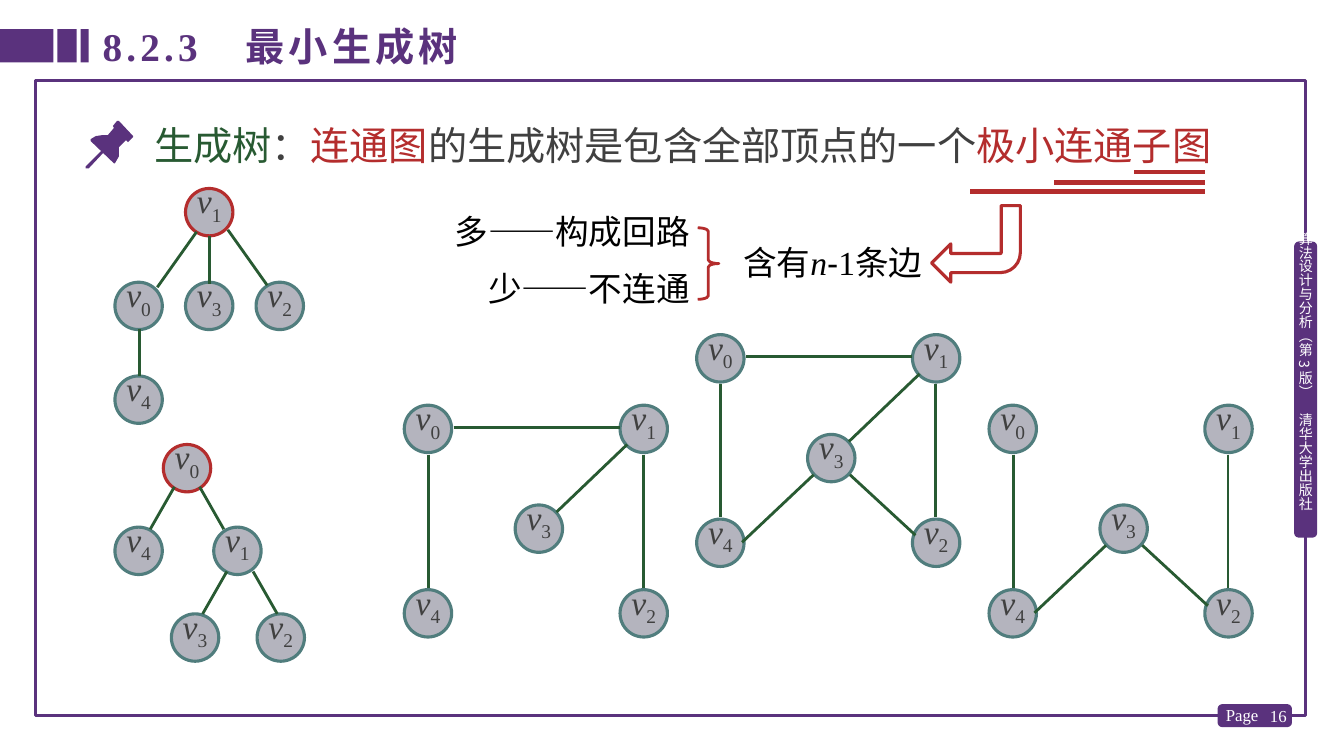
from lxml import etree
from pptx import Presentation
from pptx.dml.color import RGBColor
from pptx.enum.shapes import MSO_CONNECTOR, MSO_SHAPE
from pptx.enum.text import MSO_ANCHOR, PP_ALIGN
from pptx.oxml.ns import qn
from pptx.util import Inches, Pt

PURPLE = RGBColor(0x5A, 0x32, 0x7D)
RED = RGBColor(0xB4, 0x2D, 0x2D)
GREEN = RGBColor(0x28, 0x5A, 0x32)
TEAL = RGBColor(0x50, 0x7D, 0x7D)
GREY = RGBColor(0xB4, 0xB4, 0xBE)
DARK = RGBColor(0x40, 0x40, 0x40)
BLACK = RGBColor(0, 0, 0)
WHITE = RGBColor(0xFF, 0xFF, 0xFF)
SERIF, SANS, CJK = "Times New Roman", "Calibri", "Noto Sans CJK SC"
RECT, ROUND, OVAL = MSO_SHAPE.RECTANGLE, MSO_SHAPE.ROUNDED_RECTANGLE, MSO_SHAPE.OVAL
BRACE, BENT_ARROW = MSO_SHAPE.RIGHT_BRACE, MSO_SHAPE.BENT_ARROW
STRAIGHT = MSO_CONNECTOR.STRAIGHT
LEFT, CENTER, RIGHT, JUSTIFY = PP_ALIGN.LEFT, PP_ALIGN.CENTER, PP_ALIGN.RIGHT, PP_ALIGN.JUSTIFY
TOP, MIDDLE = MSO_ANCHOR.TOP, MSO_ANCHOR.MIDDLE

prs = Presentation()
prs.slide_width, prs.slide_height = Inches(13.33), Inches(7.5)
s = prs.slides.add_slide(prs.slide_layouts[6])


def add_shape(kind, box, fill=None, line=None, width=2):
    sp = s.shapes.add_shape(kind, *map(Inches, box))
    sp.shadow.inherit = False
    if fill is None:
        sp.fill.background()
    else:
        sp.fill.solid()
        sp.fill.fore_color.rgb = fill
    if line is None:
        sp.line.fill.background()
    else:
        sp.line.color.rgb = line
        sp.line.width = Pt(width)
    return sp


def add_line(x1, y1, x2, y2, color, width):
    ln = s.shapes.add_connector(STRAIGHT, *map(Inches, (x1, y1, x2, y2)))
    ln.line.color.rgb = color
    ln.line.width = Pt(width)
    etree.SubElement(ln._element.spPr, qn("a:effectLst"))


# Frame, title bars and side tab
add_shape(RECT, (0.35, 0.8, 12.6, 6.3), line=PURPLE, width=2.25)
add_shape(ROUND, (12.09, 7, 0.71, 0.2), PURPLE, PURPLE)
for x, w in [(0, 0.53), (0.57, 0.19), (0.8, 0.08)]:
    add_shape(RECT, (x, 0.29, w, 0.33), PURPLE)
add_shape(ROUND, (12.85, 2.41, 0.2, 2.91), PURPLE, PURPLE)

# Text boxes: box, side inset, top inset, alignment, size, paragraphs of (text, font, colour) runs
texts = {
    "number": ((12.45, 6.9, 0.41, 0.4), 0.1, 0.05, RIGHT, 12, [[("16", SERIF, WHITE)]]),
    "page": ((12.06, 6.94, 0.53, 0.31), 0.1, 0.05, LEFT, 12, [[("Page", SERIF, WHITE)]]),
    "book": ((12.86, 2.3, 0.17, 3.14), 0, 0, CENTER, 10,
             [[("算法设计与分析（第 3 版）　清华大学出版社", CJK, WHITE)]]),
    "title": ((0.92, 0.17, 8.65, 0.57), 0.1, 0.05, LEFT, 28,
              [[("8.2.3　最小生成树", SERIF, PURPLE)]]),
    "definition": ((1.43, 1.15, 11.35, 0.57), 0.1, 0.05, JUSTIFY, 28,
                   [[("生成树", SERIF, GREEN), ("：", SERIF, DARK), ("连通图", SERIF, RED),
                     ("的生成树是包含全部顶点的一个", SERIF, DARK),
                     ("极小连通子图", SERIF, RED)]]),
    "edge count": ((7.37, 2.35, 2.38, 0.5), 0, 0.05, LEFT, 24,
                   [[("含有", SERIF, BLACK), ("n", SERIF, BLACK), ("-", "Arial", BLACK),
                     ("1条边", SERIF, BLACK)]]),
    "more or fewer": ((4.02, 2.04, 2.82, 1.11), 0, 0.05, RIGHT, 24,
                      [[(a, SANS, BLACK), ("——", CJK, BLACK), (b, SANS, BLACK)]
                       for a, b in [("多", "构成回路"), ("少", "不连通")]]),
}
frames = {}
for name, (box, side, top, align, size, paragraphs) in texts.items():
    tf = frames[name] = s.shapes.add_textbox(*map(Inches, box)).text_frame
    tf.word_wrap = True
    tf.margin_left = tf.margin_right = Inches(side)
    tf.margin_top = tf.margin_bottom = Inches(top)
    for i, runs in enumerate(paragraphs):
        p = tf.add_paragraph() if i else tf.paragraphs[0]
        p.alignment = align
        if i:
            p.space_before = Pt(12)
        for text, font, color in runs:
            r = p.add_run()
            r.text = text
            r.font.name, r.font.size, r.font.color.rgb = font, Pt(size), color
frames["number"].vertical_anchor = MIDDLE
frames["page"].word_wrap = False
frames["book"]._txBody.bodyPr.set("vert", "eaVert")
title_run = frames["title"].paragraphs[0].runs[0]
title_run.font.bold = True
title_run._r.get_or_add_rPr().set("spc", "300")
frames["edge count"].paragraphs[0].runs[1].font.italic = True

# Pushpin
pin_head = [(1.32, 1.35), (1.18, 1.2), (1.16, 1.2), (1.12, 1.25), (1.13, 1.27), (1.07, 1.34),
            (1.02, 1.34), (0.95, 1.35), (0.9, 1.38), (0.9, 1.4), (1.13, 1.62), (1.14, 1.62),
            (1.18, 1.55), (1.18, 1.46), (1.25, 1.39), (1.27, 1.41), (1.32, 1.36)]
pin_needle = [(0.87, 1.67), (0.85, 1.67), (0.85, 1.65), (1.01, 1.49), (1.03, 1.49),
              (1.03, 1.51), (0.88, 1.67)]
for outline in (pin_head, pin_needle):
    points = [(Inches(x), Inches(y)) for x, y in outline]
    builder = s.shapes.build_freeform(*points[0])
    builder.add_line_segments(points[1:], close=True)
    sp = builder.convert_to_shape()
    sp.shadow.inherit = False
    sp.fill.solid()
    sp.fill.fore_color.rgb = PURPLE
    sp.line.fill.background()

# Underlines, bent arrow and brace
for x, y in [(11.25, 1.71), (10.45, 1.81), (9.62, 1.9)]:
    add_line(11.95, y, x, y, RED, 3)
arrow = add_shape(BENT_ARROW, (9.24, 2.04, 0.88, 0.76), line=RED, width=2.25)
arrow.adjustments[3] = 0.26
arrow._element.spPr.xfrm.set("flipH", "1")
arrow._element.spPr.xfrm.set("flipV", "1")
brace = add_shape(BRACE, (6.92, 2.26, 0.21, 0.71), line=RED)
brace.adjustments[0] = 0.17

# The three graphs share one layout, relative to the corner of v0
layout = {0: (0, 0), 1: (2.14, 0), 2: (2.14, 1.83), 3: (1.1, 0.99), 4: (0, 1.83)}
edge_01, edge_04 = (0.49, 0.22, 2.14, 0.22), (0.24, 0.49, 0.24, 1.81)
edge_12, edge_13 = (2.37, 0.49, 2.37, 1.81), (2.21, 0.39, 1.51, 1.06)
edge_34, edge_32 = (1.16, 1.39, 0.45, 2.06), (1.52, 1.39, 2.17, 1.99)

# Each diagram: origin, root vertex, vertices, edges
diagrams = [
    (6.91, 3.32, None, layout, [edge_01, edge_04, edge_12, edge_13, edge_34, edge_32]),
    (4.01, 4.02, None, layout, [edge_01, edge_04, edge_12, edge_13]),
    (9.81, 4.02, None, layout, [edge_04, edge_12, edge_34, edge_32]),
    (1.14, 4.41, 0,
     {0: (0.48, 0), 1: (0.98, 0.82), 2: (1.41, 1.68), 3: (0.56, 1.68), 4: (0, 0.82)},
     [(0.59, 0.42, 0.35, 0.84), (0.84, 0.42, 1.08, 0.84),
      (1.11, 1.26, 0.87, 1.68), (1.37, 1.26, 1.61, 1.68)]),
    (1.14, 1.87, 1,
     {0: (0, 0.93), 1: (0.7, 0), 2: (1.4, 0.93), 3: (0.7, 0.93), 4: (0, 1.86)},
     [(0.94, 0.47, 0.94, 0.95), (0.81, 0.43, 0.42, 0.98),
      (0.24, 1.39, 0.24, 1.86), (1.12, 0.41, 1.51, 0.96)]),
]
for x0, y0, root, vertices, edges in diagrams:
    for vertex, (dx, dy) in vertices.items():
        sp = add_shape(OVAL, (x0 + dx, y0 + dy, 0.47, 0.47), GREY,
                       RED if vertex == root else TEAL, 2.25)
        tf = sp.text_frame
        tf.margin_left = tf.margin_right = tf.margin_top = tf.margin_bottom = 0
        tf.vertical_anchor = TOP
        p = tf.paragraphs[0]
        p.alignment, p.line_spacing = CENTER, Pt(22)
        for text in ("v", str(vertex)):
            r = p.add_run()
            r.text = text
            r.font.name, r.font.size, r.font.color.rgb = SERIF, Pt(24), DARK
            r.font.italic = text == "v"
        r._r.get_or_add_rPr().set("baseline", "-25000")
    for x1, y1, x2, y2 in edges:
        add_line(x0 + x1, y0 + y1, x0 + x2, y0 + y2, GREEN, 2)

prs.save("out.pptx")
